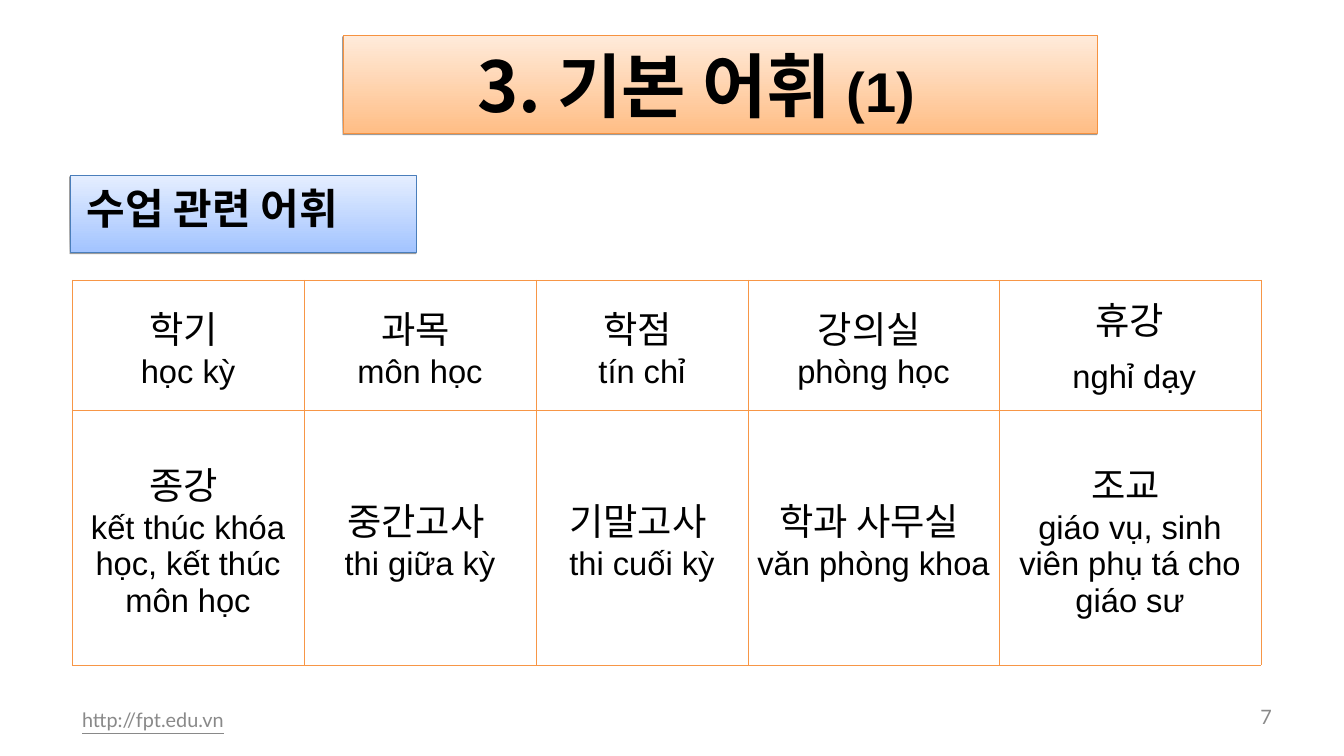
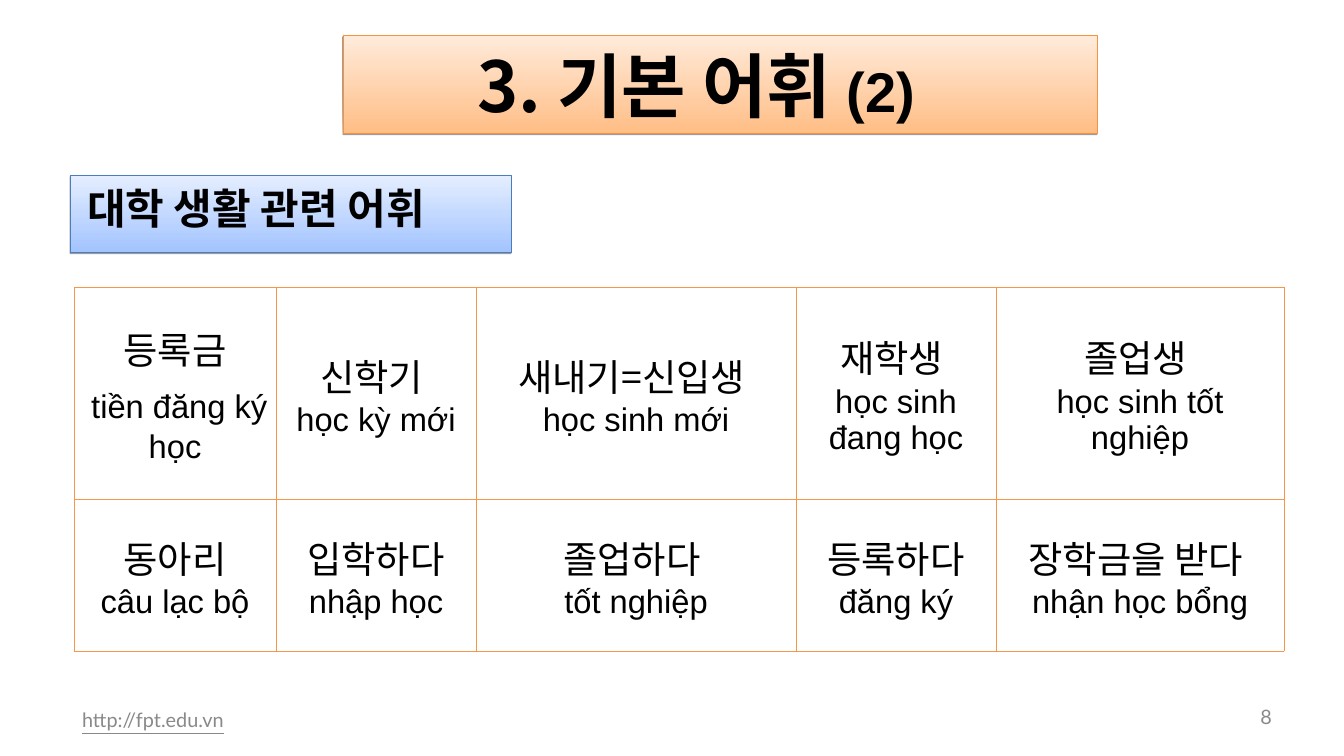
from lxml.etree import SubElement
from pptx import Presentation
from pptx.dml.color import RGBColor
from pptx.enum.shapes import MSO_SHAPE
from pptx.enum.text import MSO_ANCHOR, PP_ALIGN
from pptx.oxml import parse_xml
from pptx.oxml.ns import nsdecls, qn
from pptx.util import Emu, Pt

PX = 914400 / 84
KOREAN, LATIN, FOOTER_FONT = "Noto Sans CJK KR", "Arial", "Lato"
BLACK = RGBColor(0x00, 0x00, 0x00)
GRAY = RGBColor(0x89, 0x89, 0x89)
ORANGE_DARK = RGBColor(0xFF, 0xBE, 0x86)
ORANGE_LIGHT = RGBColor(0xFF, 0xEB, 0xDB)
ORANGE_EDGE = RGBColor(0xF6, 0x92, 0x40)
BLUE_DARK = RGBColor(0xA3, 0xC4, 0xFF)
BLUE_LIGHT = RGBColor(0xE5, 0xEE, 0xFF)
BLUE_EDGE = RGBColor(0x4A, 0x7E, 0xBB)
GRID = RGBColor(0xF7, 0x96, 0x46)

# Each table cell is (Korean word, Vietnamese meaning)
LESSONS = [
    {
        "part": "(1)", "page": "7", "topic": "수업 관련 어휘", "topic_width": 346,
        "table_at": (72, 280), "columns": (232, 232, 212, 251, 262), "rows": (130, 255),
        "words": [
            [("학기 ", "học kỳ"), ("과목 ", "môn học"), ("학점 ", "tín chỉ"),
             ("강의실 ", "phòng học"), ("휴강", " nghỉ dạy")],
            [("종강 ", "kết thúc khóa học, kết thúc môn học"),
             ("중간고사 ", "thi giữa kỳ"), ("기말고사 ", "thi cuối kỳ"),
             ("학과 사무실 ", "văn phòng khoa"),
             ("조교 ", "giáo vụ, sinh viên phụ tá cho giáo sư")],
        ],
    },
    {
        "part": "(2)", "page": "8", "topic": "대학 생활 관련 어휘", "topic_width": 441,
        "table_at": (74, 287), "columns": (202, 200, 320, 200, 288), "rows": (212, 152),
        "words": [
            [("등록금", " tiền đăng ký học"), ("신학기 ", "học kỳ mới"),
             ("새내기=신입생 ", "học sinh mới"), ("재학생 ", "học sinh đang học"),
             ("졸업생 ", "học sinh tốt nghiệp")],
            [("동아리", "câu lạc bộ"), ("입학하다", "nhập học"),
             ("졸업하다 ", "tốt nghiệp"), ("등록하다", "đăng ký"),
             ("장학금을 받다 ", "nhận học bổng")],
        ],
    },
]


def px(length):
    return Emu(round(length * PX))


def add_run(paragraph, text, size, font, color=BLACK, bold=False, underline=False):
    run = paragraph.add_run()
    run.text = text
    run.font.size = Pt(size)
    run.font.name = font
    run.font.color.rgb = color
    run.font.bold = bold
    run.font.underline = underline
    if font == KOREAN:
        SubElement(run.font._element, qn("a:ea"), typeface=KOREAN)


def set_frame(frame, anchor, left, top, right, bottom):
    frame.word_wrap = True
    frame.vertical_anchor = anchor
    frame.margin_left, frame.margin_top = px(left), px(top)
    frame.margin_right, frame.margin_bottom = px(right), px(bottom)


def add_banner(slide, box, dark, light, edge):
    """Rectangle shaded from light at the top to dark, with a thin shadow."""
    banner = slide.shapes.add_shape(MSO_SHAPE.RECTANGLE, *map(px, box))
    banner.fill.gradient()
    banner.fill.gradient_angle = 90
    for stop, color, position in zip(banner.fill.gradient_stops, (dark, light), (0, 1)):
        stop.color.rgb = color
        stop.position = position
    banner.line.color.rgb = edge
    banner.line.width = Pt(0.75)
    banner.shadow.inherit = False
    effects = banner._element.spPr.find(qn("a:effectLst"))
    effects.append(parse_xml(
        f'<a:outerShdw {nsdecls("a")} blurRad="0" dist="{Pt(1.6)}" dir="5400000" '
        'rotWithShape="0"><a:srgbClr val="000000"><a:alpha val="38000"/>'
        '</a:srgbClr></a:outerShdw>'))
    return banner.text_frame


def add_title(slide, box, part):
    frame = add_banner(slide, box, ORANGE_DARK, ORANGE_LIGHT, ORANGE_EDGE)
    set_frame(frame, MSO_ANCHOR.MIDDLE, 8, 4, 55, 4)
    title = frame.paragraphs[0]
    title.alignment = PP_ALIGN.CENTER
    add_run(title, "3. 기본 어휘 ", 60, KOREAN, bold=True)
    add_run(title, part, 48, LATIN, bold=True)


def add_topic(slide, box, topic):
    frame = add_banner(slide, box, BLUE_DARK, BLUE_LIGHT, BLUE_EDGE)
    set_frame(frame, MSO_ANCHOR.TOP, 17, 8, 8, 8)
    frame.paragraphs[0].alignment = PP_ALIGN.LEFT
    add_run(frame.paragraphs[0], topic, 36, KOREAN, bold=True)


def add_footer(slide, box, text, alignment, underline=False):
    frame = slide.shapes.add_textbox(*map(px, box)).text_frame
    set_frame(frame, MSO_ANCHOR.MIDDLE, 12, 6, 12, 6)
    frame.paragraphs[0].alignment = alignment
    add_run(frame.paragraphs[0], text, 17, FOOTER_FONT, GRAY, underline=underline)


def set_borders(cell):
    properties = cell._tc.get_or_add_tcPr()
    for index, side in enumerate(("lnL", "lnR", "lnT", "lnB")):
        properties.insert(index, parse_xml(
            f'<a:{side} {nsdecls("a")} w="{Pt(0.45)}"><a:solidFill>'
            f'<a:srgbClr val="{GRID}"/></a:solidFill></a:{side}>'))


def fill_cell(cell, korean, meaning):
    cell.fill.background()
    set_borders(cell)
    cell.vertical_anchor = MSO_ANCHOR.MIDDLE
    word_line = cell.text_frame.paragraphs[0]
    meaning_line = cell.text_frame.add_paragraph()
    word_line.alignment = meaning_line.alignment = PP_ALIGN.CENTER
    add_run(word_line, korean, 32, KOREAN)
    # A leading space keeps the height of the Korean line
    if meaning.startswith(" "):
        add_run(meaning_line, " ", 32, KOREAN)
    add_run(meaning_line, meaning.strip(), 28, LATIN)


def add_vocabulary(slide, at, columns, rows, words):
    size = sum(columns), sum(rows)
    table = slide.shapes.add_table(len(rows), len(columns), *map(px, at + size)).table
    table.first_row = table.horz_banding = False
    for column, width in zip(table.columns, columns):
        column.width = px(width)
    for row, height, entries in zip(table.rows, rows, words):
        row.height = px(height)
        for cell, (korean, meaning) in zip(row.cells, entries):
            fill_cell(cell, korean, meaning)


def add_lesson(deck, lesson):
    slide = deck.slides.add_slide(deck.slide_layouts[6])
    # Footer
    add_footer(slide, (70, 700, 426, 40), "http://fpt.edu.vn", PP_ALIGN.LEFT, True)
    add_footer(slide, (1218, 700, 66, 34), lesson["page"], PP_ALIGN.RIGHT)
    # Headings
    add_topic(slide, (70, 175, lesson["topic_width"], 77), lesson["topic"])
    add_title(slide, (343, 35, 754, 98), lesson["part"])
    # Word table
    add_vocabulary(slide, lesson["table_at"], lesson["columns"], lesson["rows"],
                   lesson["words"])


def main():
    deck = Presentation()
    deck.slide_width, deck.slide_height = px(1344), px(756)
    for lesson in LESSONS:
        add_lesson(deck, lesson)
    deck.save("out.pptx")


if __name__ == "__main__":
    main()
